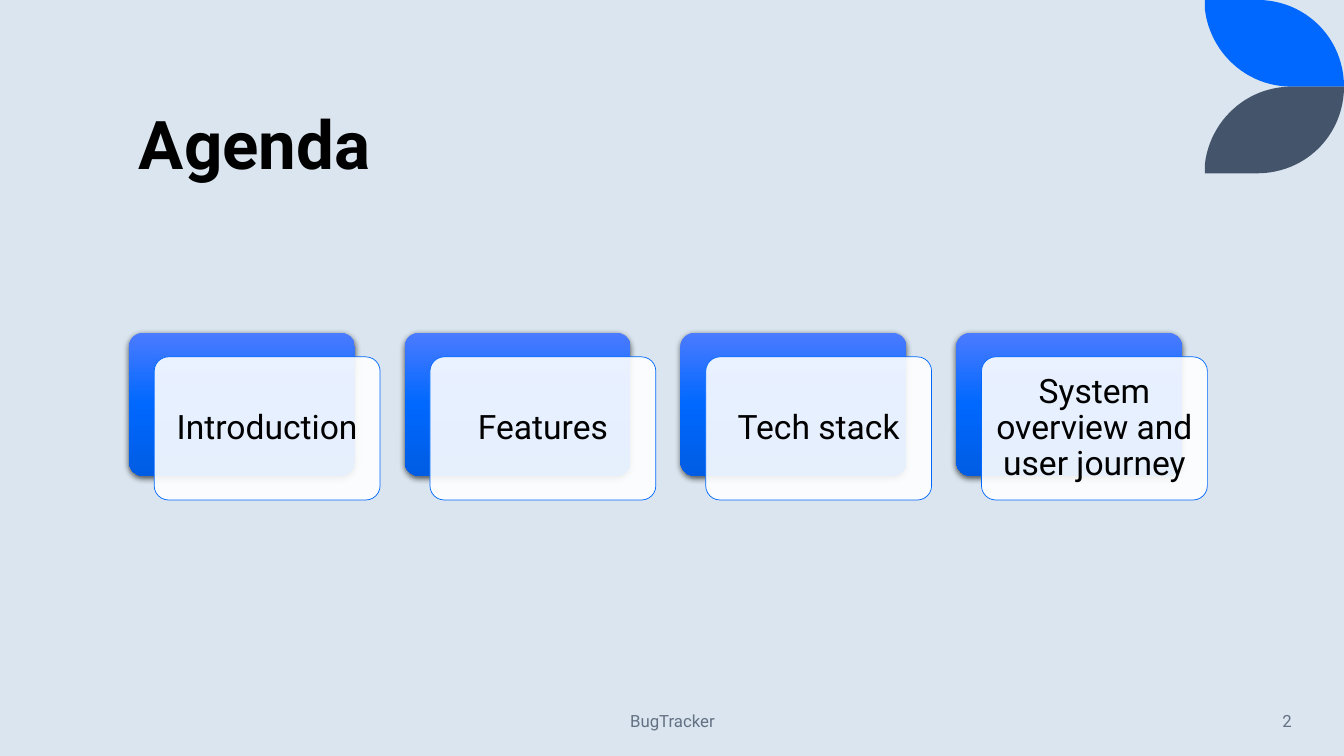
from copy import deepcopy

from lxml import etree
from pptx import Presentation
from pptx.dml.color import RGBColor
from pptx.enum import shapes, text
from pptx.oxml.ns import qn
from pptx.util import Inches, Pt

BACKGROUND = RGBColor(0xDA, 0xE5, 0xEF)
BLUE = RGBColor(0x00, 0x68, 0xFF)
LIGHT_BLUE = RGBColor(0x4B, 0x7B, 0xFF)
DARK_BLUE = RGBColor(0x00, 0x5C, 0xE3)
SLATE = RGBColor(0x44, 0x54, 0x6A)
GRAY = RGBColor(0x63, 0x71, 0x83)
BLACK = RGBColor(0, 0, 0)
WHITE = RGBColor(0xFF, 0xFF, 0xFF)

CURVE_STEPS = 24
TOPICS = ["Introduction", "Features", "Tech stack", "System overview and user journey"]
CARD_LEFT, CARD_TOP, CARD_PITCH = 1.28, 3.3, 2.735
CARD_WIDTH, CARD_HEIGHT = 2.24, 1.42
OFFSET_X, OFFSET_Y = 0.25, 0.24


def write(shape, wording, size, color, align, anchor):
    frame = shape.text_frame
    frame.word_wrap = True
    frame.vertical_anchor = anchor
    paragraph = frame.paragraphs[0]
    paragraph.text = wording
    paragraph.alignment = align
    paragraph.font.name = "Roboto"
    paragraph.font.size = Pt(size)
    paragraph.font.color.rgb = color
    return paragraph


def curve_points(start, control_1, control_2, end):
    """Points along a cubic curve, without its start."""
    points = []
    for step in range(1, CURVE_STEPS + 1):
        t = step / CURVE_STEPS
        weights = ((1 - t) ** 3, 3 * t * (1 - t) ** 2, 3 * t * t * (1 - t), t ** 3)
        corners = (start, control_1, control_2, end)
        points.append(tuple(sum(w * c[axis] for w, c in zip(weights, corners))
                            for axis in (0, 1)))
    return points


presentation = Presentation()
presentation.slide_width = Inches(13.33)
presentation.slide_height = Inches(7.5)
slide = presentation.slides.add_slide(presentation.slide_layouts[6])
slide.background.fill.solid()
slide.background.fill.fore_color.rgb = BACKGROUND

# Corner leaves: the lower one mirrors the upper one
leaf_points = [
    (12.47, 0),
    *curve_points((12.47, 0), (12.95, 0), (13.33, 0.38), (13.33, 0.86)),
    (12.81, 0.86),
    *curve_points((12.81, 0.86), (12.36, 0.86), (12, 0.52), (11.95, 0.09)),
]
for color, base, direction in [(BLUE, 0, 1), (SLATE, 1.72, -1)]:
    builder = slide.shapes.build_freeform(Inches(11.95), Inches(base))
    builder.add_line_segments(
        [(Inches(x), Inches(base + direction * y)) for x, y in leaf_points], close=True)
    leaf = builder.convert_to_shape()
    leaf.shadow.inherit = False
    leaf.fill.solid()
    leaf.fill.fore_color.rgb = color
    leaf.line.fill.background()

title = slide.shapes.add_textbox(Inches(1.28), Inches(0.42), Inches(10.69), Inches(1.45))
heading = write(title, "Agenda", 48, BLACK, text.PP_ALIGN.LEFT, text.MSO_ANCHOR.BOTTOM)
heading.font.bold = True
heading.line_spacing = 0.9

for wording, left, width, align in [
    ("BugTracker", 4.42, 4.5, text.PP_ALIGN.CENTER),
    ("2", 11.1, 1.81, text.PP_ALIGN.RIGHT),
]:
    footer = slide.shapes.add_textbox(Inches(left), Inches(6.95), Inches(width), Inches(0.4))
    write(footer, wording, 12, GRAY, align, text.MSO_ANCHOR.MIDDLE).space_after = Pt(6)

for index, topic in enumerate(TOPICS):
    left = CARD_LEFT + index * CARD_PITCH
    back, card = [
        slide.shapes.add_shape(
            shapes.MSO_SHAPE.ROUNDED_RECTANGLE, Inches(left + dx), Inches(CARD_TOP + dy),
            Inches(CARD_WIDTH), Inches(CARD_HEIGHT))
        for dx, dy in [(0, 0), (OFFSET_X, OFFSET_Y)]
    ]
    for shape in (back, card):
        shape.adjustments[0] = 0.1
        shape.shadow.inherit = False

    back.line.fill.background()
    back.fill.gradient()
    back.fill.gradient_angle = 270
    stop_list = back.element.spPr.find(".//" + qn("a:gsLst"))
    stop_list.insert(1, deepcopy(stop_list[0]))
    stops = back.fill.gradient_stops
    for stop, position, color in zip(stops, (0, 0.5, 1), (LIGHT_BLUE, BLUE, DARK_BLUE)):
        stop.position = position
        stop.color.rgb = color
    shadow = etree.SubElement(
        back.element.spPr.find(qn("a:effectLst")), qn("a:outerShdw"),
        blurRad=str(Pt(4.5)), dist=str(Pt(1.5)), dir="5400000", algn="ctr", rotWithShape="0")
    shadow_color = etree.SubElement(shadow, qn("a:srgbClr"), val="000000")
    etree.SubElement(shadow_color, qn("a:alpha"), val="63000")

    card.fill.solid()
    card.fill.fore_color.rgb = WHITE
    card_color = card.element.spPr.find(qn("a:solidFill")).find(qn("a:srgbClr"))
    etree.SubElement(card_color, qn("a:alpha"), val="90000")
    card.line.color.rgb = BLUE
    card.line.width = Pt(0.5)
    frame = card.text_frame
    frame.margin_left = frame.margin_right = Inches(0.09)
    frame.margin_top = frame.margin_bottom = Inches(0.1)
    label = write(card, topic, 24, BLACK, text.PP_ALIGN.CENTER, text.MSO_ANCHOR.MIDDLE)
    label.line_spacing = 0.9

presentation.save("out.pptx")
